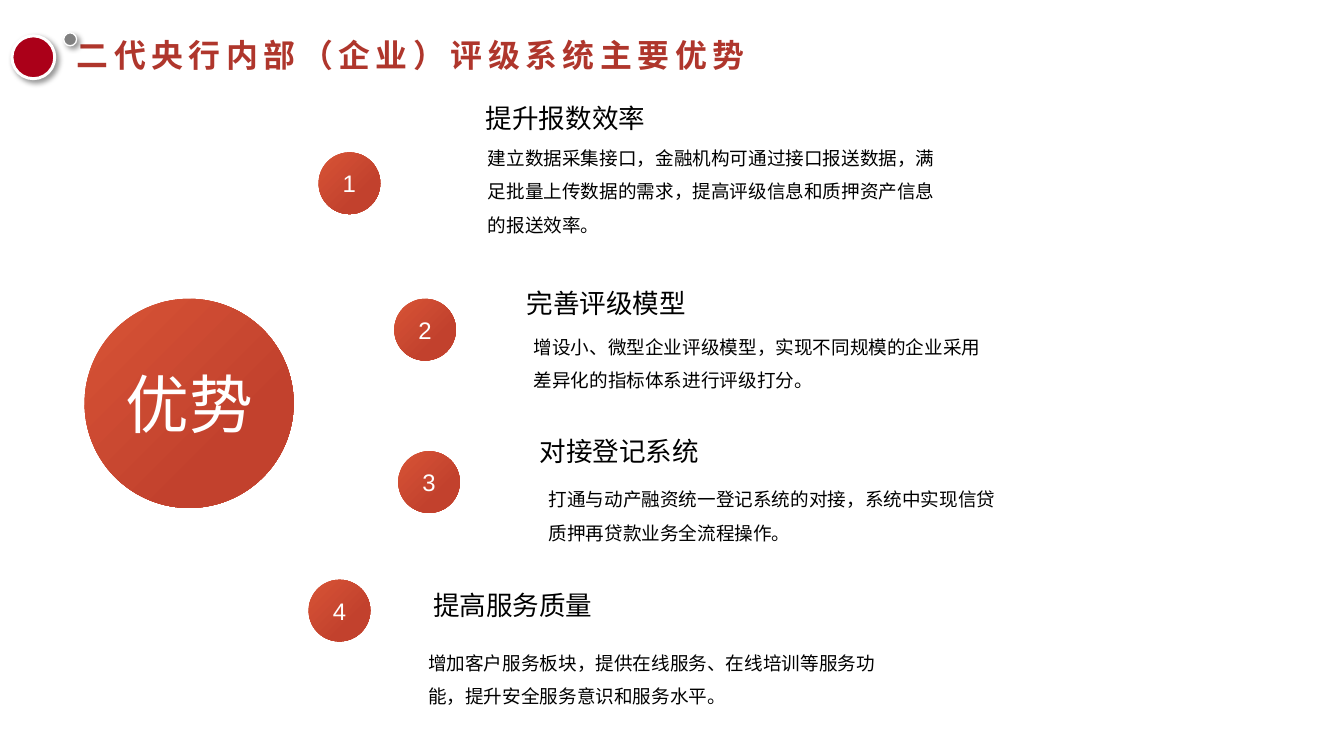
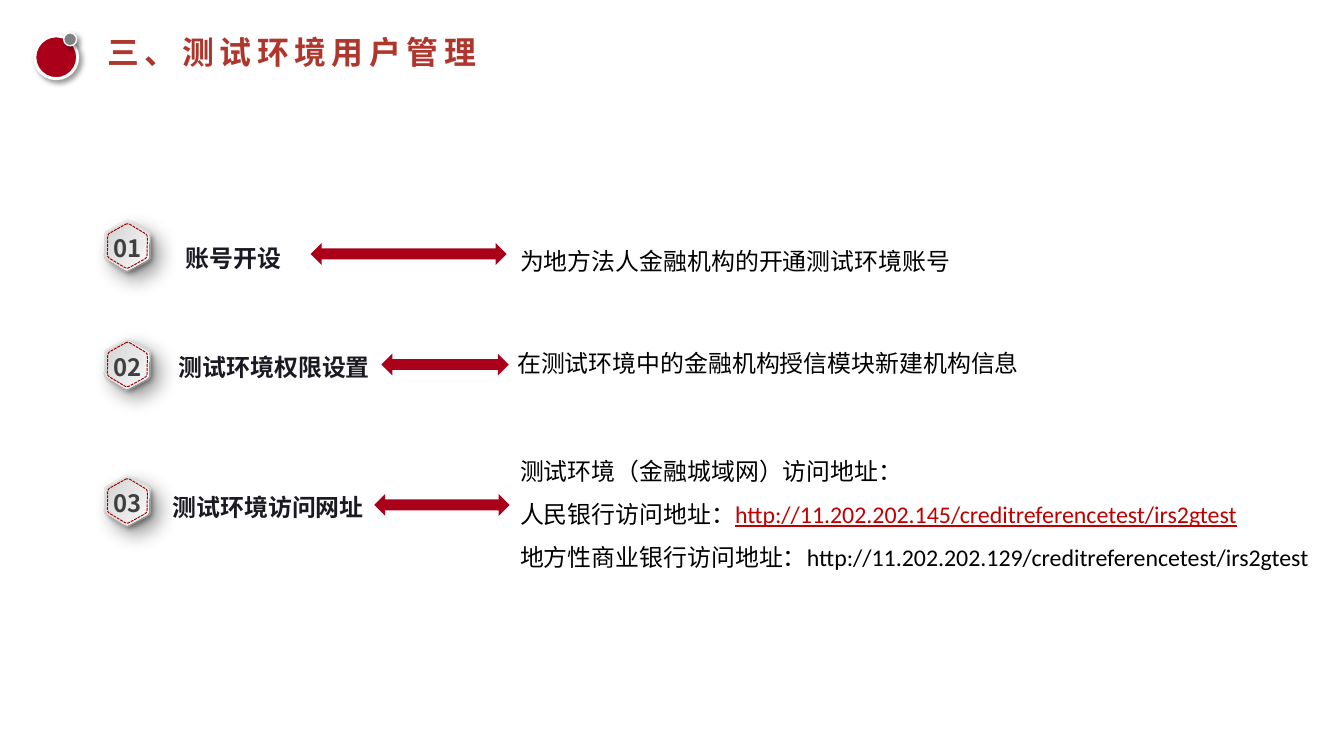
import math

import pptx
import pptx.dml.color
import pptx.enum.shapes
import pptx.enum.text
import pptx.oxml
import pptx.oxml.ns
import pptx.util

PX = 9525  # EMU per px, 96 px to the inch
SLIDE_W, SLIDE_H = 1350, 759
COLORS = {
    "title": "AF362C", "crimson": "AB0019", "gray": "808080", "white": "FFFFFF",
    "black": "000000", "ember": "D75436", "brick": "C2412D", "silver": "D3D3D3",
    "pale": "F9F9F9", "dash": "A20000", "number": "404040", "label": "1B1A22",
    "link": "C00000",
}
CJK = "Noto Sans CJK SC"
FORMATS = {
    "title": {"name": CJK, "size": 24, "bold": True, "color": "title"},
    "heading": {"name": CJK, "size": 20, "color": "black"},
    "body": {"name": CJK, "size": 14, "color": "black"},
    "hub": {"name": "Arial", "size": 48, "color": "white"},
    "circle": {"name": "Arial", "size": 18, "color": "white"},
    "badge": {"name": CJK, "size": 18, "bold": True, "color": "number"},
    "label": {"name": CJK, "size": 18, "bold": True, "color": "label"},
    "detail": {"name": "Calibri", "size": 18, "color": "black"},
    "link": {"name": "Calibri", "size": 18, "color": "link", "underline": True},
}
SMALL_SHADOW = (4, 3)
LARGE_SHADOW = (15, 9)
SHAPE = pptx.enum.shapes.MSO_SHAPE
ALIGN = pptx.enum.text.PP_ALIGN
ANCHOR = pptx.enum.text.MSO_ANCHOR

ADVANTAGES = [  # circle, heading, body: left and top; body height; texts
    ((320, 153), (475, 95), (477, 129), 114, "提升报数效率",
     "建立数据采集接口，金融机构可通过接口报送数据，满足批量上传数据的需求，提高评级信息和质押资产信息的报送效率。"),
    ((396, 300), (516, 281), (523, 319), 81, "完善评级模型",
     "增设小、微型企业评级模型，实现不同规模的企业采用差异化的指标体系进行评级打分。"),
    ((400, 453), (529, 430), (538, 472), 77, "对接登记系统",
     "打通与动产融资统一登记系统的对接，系统中实现信贷质押再贷款业务全流程操作。"),
    ((310, 582), (422, 584), (417, 636), 77, "提高服务质量",
     "增加客户服务板块，提供在线服务、在线培训等服务功能，提升安全服务意识和服务水平。"),
]
STEPS = [  # badge centre; label, arrow and detail boxes; label; detail lines of runs
    (247, (177, 225, 122, 53), (312, 244, 197, 22), (513, 228, 480, 54), "账号开设",
     [[("为地方法人金融机构的开通测试环境账号", "detail")]]),
    (366, (170, 335, 230, 53), (383, 355, 128, 22), (510, 331, 602, 54),
     "测试环境权限设置",
     [[("在测试环境中的金融机构授信模块新建机构信息", "detail")]]),
    (503, (164, 475, 254, 53), (376, 496, 136, 22), (513, 439, 816, 191),
     "测试环境访问网址",
     [[("测试环境（金融城域网）访问地址：", "detail")],
      [("人民银行访问地址：", "detail"),
       ("http://11.202.202.145/creditreferencetest/irs2gtest", "link")],
      [("地方性商业银行访问地址：http://11.202.202.129/creditreferencetest/irs2gtest",
        "detail")]]),
]


def emu(*lengths):
    return [pptx.util.Emu(round(n * PX)) for n in lengths]


def rgb(name):
    return pptx.dml.color.RGBColor.from_string(COLORS[name])


def set_font(font, style):
    for key, value in FORMATS[style].items():
        if key == "color":
            font.color.rgb = rgb(value)
        else:
            setattr(font, key, pptx.util.Pt(value) if key == "size" else value)


def set_frame(tf, inset=None, wrap=True, anchor=ANCHOR.TOP):
    tf.word_wrap = wrap
    tf.auto_size = pptx.enum.text.MSO_AUTO_SIZE.NONE
    tf.vertical_anchor = anchor
    if inset is not None:
        left, top = emu(*inset)
        margins = {"margin_left": left, "margin_right": left,
                   "margin_top": top, "margin_bottom": top}
        for key, value in margins.items():
            setattr(tf, key, value)


def write(tf, lines, align=ALIGN.LEFT, spacing=None):
    """Fill a text frame with lines, each a list of (text, style) runs."""
    for i, runs in enumerate(lines):
        p = tf.add_paragraph() if i else tf.paragraphs[0]
        p.alignment = align
        if spacing:
            p.line_spacing = spacing
        for text, style in runs:
            r = p.add_run()
            r.text = text
            set_font(r.font, style)


def add_text(shapes, box, lines, inset=None, wrap=True, **paragraph):
    tf = shapes.add_textbox(*emu(*box)).text_frame
    set_frame(tf, inset, wrap)
    write(tf, lines, **paragraph)


def add_shadow(sp, blur, dist):
    effects = sp._element.spPr.find(pptx.oxml.ns.qn("a:effectLst"))
    effects.append(pptx.oxml.parse_xml(
        f'<a:outerShdw {pptx.oxml.ns.nsdecls("a")} blurRad="{blur * 12700}" '
        f'dist="{dist * 12700}" dir="2700000" algn="tl" rotWithShape="0">'
        f'<a:srgbClr val="{COLORS["black"]}"><a:alpha val="40000"/></a:srgbClr>'
        '</a:outerShdw>'))


def paint(sp, fill=None, gradient=None, line=None, shadow=None):
    """gradient is (first, last, last position, angle); line is (colour, width)."""
    sp.shadow.inherit = False
    if gradient:
        first, last, end, angle = gradient
        sp.fill.gradient()
        sp.fill.gradient_angle = angle
        for stop, color, position in zip(sp.fill.gradient_stops, (first, last), (0, end)):
            stop.color.rgb = rgb(color)
            stop.position = position
    elif fill:
        sp.fill.solid()
        sp.fill.fore_color.rgb = rgb(fill)
    else:
        sp.fill.background()
    if line:
        sp.line.color.rgb = rgb(line[0])
        sp.line.width = pptx.util.Pt(line[1])
    else:
        sp.line.fill.background()
    if shadow:
        add_shadow(sp, *shadow)


def add_shape(shapes, kind, box, **look):
    sp = shapes.add_shape(kind, *emu(*box))
    paint(sp, **look)
    return sp


def add_titled_slide(prs, title, title_box, dot_x):
    s = prs.slides.add_slide(prs.slide_layouts[5])
    sp = s.shapes.title
    sp.left, sp.top, sp.width, sp.height = emu(*title_box)
    set_frame(sp.text_frame, (0, 0))
    write(sp.text_frame, [[(title, "title")]])
    sp.text_frame.paragraphs[0].runs[0].font._element.set("spc", "420")
    add_shape(s.shapes, SHAPE.OVAL, (dot_x, 36, 43, 43), fill="crimson",
              line=("white", 2.25), shadow=SMALL_SHADOW)
    add_shape(s.shapes, SHAPE.OVAL, (64, 33, 13, 13), fill="gray",
              line=("white", 1), shadow=SMALL_SHADOW)
    return s


def add_circle(s, x, y, size, text, style):
    sp = add_shape(s.shapes, SHAPE.OVAL, (x, y, size, size),
                   gradient=("ember", "brick", 0.7, 315))
    set_frame(sp.text_frame, anchor=ANCHOR.MIDDLE)
    write(sp.text_frame, [[(text, style)]], ALIGN.CENTER)


def add_advantage(s, number, circle, heading_at, body_at, body_h, heading, body):
    add_circle(s, *circle, 62, str(number), "circle")
    add_text(s.shapes, (*heading_at, 187, 45), [[(heading, "heading")]], (13, 7), False)
    add_text(s.shapes, (*body_at, 477, body_h), [[(body, "body")]], (13, 7), spacing=1.5)


def add_hexagon(shapes, cx, cy, radius):
    """Upright hexagon whose corners are rounded by short curves."""
    corners = [(cx + radius * math.sin(math.radians(60 * k + 1)),
                cy - radius * math.cos(math.radians(60 * k + 1))) for k in range(6)]
    points = []
    for k, corner in enumerate(corners):
        before, after = corners[k - 1], corners[(k + 1) % 6]
        start, end = ([c + (n - c) * 0.12 for c, n in zip(corner, near)]
                      for near in (before, after))
        for t in (0, 0.25, 0.5, 0.75, 1):
            points.append(emu(*((1 - t) ** 2 * a + 2 * t * (1 - t) * c + t * t * b
                                for a, c, b in zip(start, corner, end))))
    builder = shapes.build_freeform(*points[0])
    builder.add_line_segments(points[1:], close=True)
    return builder.convert_to_shape()


def add_badge(s, cx, cy, text):
    shapes = s.shapes.add_group_shape().shapes
    paint(add_hexagon(shapes, cx, cy, 27),
          gradient=("silver", "pale", 1, 59), shadow=LARGE_SHADOW)
    paint(add_hexagon(shapes, cx, cy, 25),
          gradient=("silver", "pale", 1, 329), shadow=SMALL_SHADOW)
    rim = add_hexagon(shapes, cx, cy, 23)
    paint(rim, line=("dash", 0.75))
    rim.line.dash_style = pptx.enum.dml.MSO_LINE.SQUARE_DOT
    add_text(shapes, (cx - 22, cy - 12, 44, 29), [[(text, "badge")]], (0, 0),
             align=ALIGN.CENTER)


def add_step(s, number, badge_y, label_box, arrow_box, detail_box, label, detail):
    add_badge(s, 128, badge_y, f"{number:02d}")
    add_text(s.shapes, label_box, [[(label, "label")]], spacing=1.5)
    add_text(s.shapes, detail_box, detail, spacing=1.5)
    add_shape(s.shapes, SHAPE.LEFT_RIGHT_ARROW, arrow_box, fill="crimson")


def build_advantages(prs):
    s = add_titled_slide(prs, "二代央行内部（企业）评级系统主要优势", (77, 36, 860, 38), 12)
    add_circle(s, 85, 300, 210, "优势", "hub")
    for number, advantage in enumerate(ADVANTAGES, 1):
        add_advantage(s, number, *advantage)


def build_test_accounts(prs):
    s = add_titled_slide(prs, "三、测试环境用户管理", (108, 33, 733, 38), 35)
    for number, step in enumerate(STEPS, 1):
        add_step(s, number, *step)


def main():
    prs = pptx.Presentation()
    prs.slide_width, prs.slide_height = emu(SLIDE_W, SLIDE_H)
    build_advantages(prs)
    build_test_accounts(prs)
    prs.save("out.pptx")


if __name__ == "__main__":
    main()
